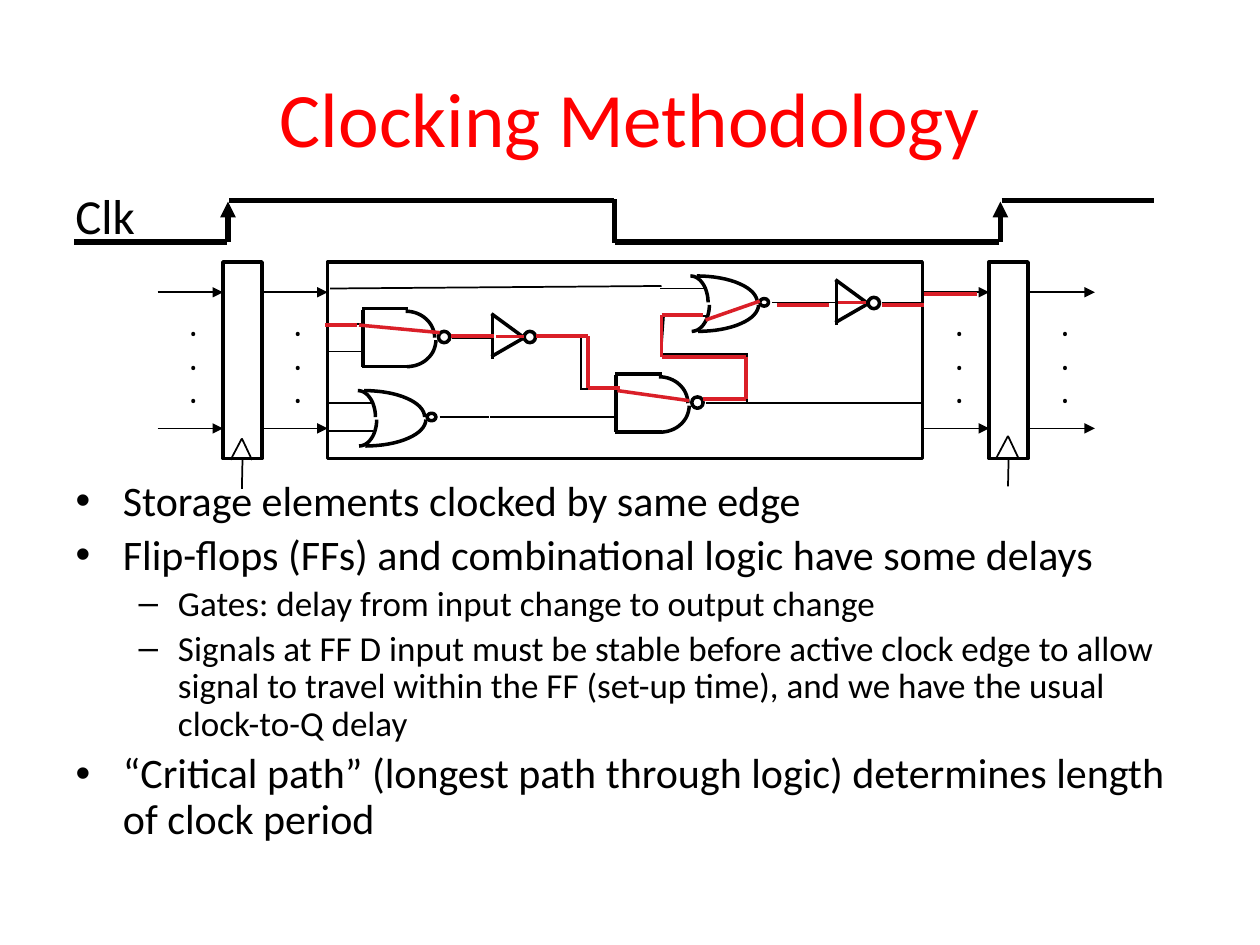
from math import cos, pi, sin

from pptx import Presentation
from pptx.dml.color import RGBColor
from pptx.enum.shapes import MSO_CONNECTOR, MSO_SHAPE
from pptx.enum.text import MSO_ANCHOR, MSO_AUTO_SIZE, PP_ALIGN
from pptx.oxml.ns import qn
from pptx.util import Pt
from lxml.etree import SubElement

SCALE = 9144  # EMU per px, 100 px to the inch
BLACK, TITLE_RED, PATH_RED = "000000", "FF0000", "DA1F28"
THIN, GATE, PATH, CLOCK = 1, 2, 2.25, 3
BOTTOM = 2


def emu(*lengths):
    return [round(length * SCALE) for length in lengths]


def color(value):
    return RGBColor.from_string(value)


class Diagram:
    def __init__(self, slide, font="Calibri"):
        self.slide = slide
        self.shapes = slide.shapes
        self.font = font

    def style_font(self, font, size, value=BLACK, name=None, bold=None):
        font.name = name or self.font
        font.size = Pt(size)
        font.color.rgb = color(value)
        font.bold = bold

    def place(self, shape, *box):
        shape.left, shape.top, shape.width, shape.height = emu(*box)

    def title(self, text, box):
        shape = self.shapes.title
        self.place(shape, *box)
        shape.text_frame.text = text
        shape.text_frame.vertical_anchor = MSO_ANCHOR.MIDDLE
        paragraph = shape.text_frame.paragraphs[0]
        paragraph.alignment = PP_ALIGN.CENTER
        self.style_font(paragraph.font, 44, TITLE_RED)

    def body(self, items, box):
        shape = self.slide.placeholders[1]
        self.place(shape, *box)
        frame = shape.text_frame
        frame.text = "\n".join(text for _, text in items)
        frame.auto_size = MSO_AUTO_SIZE.NONE
        for paragraph, (level, _) in zip(frame.paragraphs, items):
            paragraph.level = level
            paragraph.line_spacing = 0.9
            self.style_font(paragraph.font, 20 if level else 24)

    def text(self, text, box, size, name=None, bold=None):
        frame = self.shapes.add_textbox(*emu(*box)).text_frame
        frame.word_wrap = False
        frame.text = text
        for paragraph in frame.paragraphs:
            self.style_font(paragraph.font, size, name=name, bold=bold)

    def outline(self, shape, width=GATE):
        shape.shadow.inherit = False
        shape.fill.background()
        shape.line.color.rgb = color(BLACK)
        shape.line.width = Pt(width)
        return shape

    def box(self, *box):
        return self.outline(self.shapes.add_shape(MSO_SHAPE.RECTANGLE, *emu(*box)))

    def bubble(self, *box):
        return self.outline(self.shapes.add_shape(MSO_SHAPE.OVAL, *emu(*box)))

    def line(self, x1, y1, x2, y2, width=THIN, value=BLACK, arrow=False):
        connector = self.shapes.add_connector(
            MSO_CONNECTOR.STRAIGHT, *emu(x1, y1, x2, y2))
        connector.line.color.rgb = color(value)
        connector.line.width = Pt(width)
        if arrow:
            SubElement(connector.line._get_or_add_ln(), qn("a:tailEnd"), type="triangle")
        SubElement(connector._element.spPr, qn("a:effectLst"))
        return connector

    def arcs(self, x, y, width, height):
        """Upper and lower quarter ellipse of a rounded gate side."""
        steps = [step * pi / 32 for step in range(17)]
        upper = [(x + width * sin(a), y + height * (1 - cos(a))) for a in steps]
        lower = [(x + 1 + width * cos(a), y + height + 2 + height * sin(a)) for a in steps]
        for points in (upper, lower):
            start, *rest = [emu(*point) for point in points]
            builder = self.shapes.build_freeform(*start, scale=1.0)
            builder.add_line_segments(rest, close=False)
            self.outline(builder.convert_to_shape())

    def and_gate(self, x, y):
        self.arcs(x + 35, y + 2, 23, 21)
        self.bubble(x + 61, y + 18, 9, 9)
        self.line(x + 37, y, x, y, GATE)
        self.line(x + 1, y + 1, x + 1, y + 46, GATE)
        self.line(x + 37, y + 46, x, y + 46, GATE)
        for input_y in (y + 12, y + 34):
            self.line(x + 2, input_y, x - 28, input_y)
        self.line(x + 72, y + 23, x + 105, y + 23)

    def nor_gate(self, x, y):
        self.arcs(x + 5, y, 48, 21)
        self.arcs(x, y, 14, 21)
        self.bubble(x + 55, y + 18, 7, 6)
        for input_y in (y + 10, y + 32):
            self.line(x + 12, input_y, x - 24, input_y)
        self.line(x + 65, y + 21, x + 104, y + 21)

    def inverter(self, x, y):
        self.bubble(x + 26, y + 14, 9, 9)
        self.line(x + 26, y + 19, x, y, GATE)
        self.line(x + 26, y + 19, x, y + 34, GATE)
        self.line(x + 1, y + 36, x + 1, y, GATE)
        self.line(x + 2, y + 18, x - 29, y + 18)
        self.line(x + 37, y + 18, x + 70, y + 18)

    def register(self, x, clock_y):
        register = self.box(x, 208, 31, 156)
        clock = self.line(x + 15, clock_y, x + 15, clock_y + 24)
        clock.begin_connect(register, BOTTOM)
        self.line(x + 6, clock_y + 1, x + 15, clock_y - 16)
        self.line(x + 15, clock_y - 16, x + 23, clock_y + 1)

    def bus(self, x):
        for y in (232, 340):
            self.line(x, y, x + 52, y, arrow=True)
        self.text(".\n.\n.", (x + 16, 240, 25, 90), 16, "Cambria", True)


presentation = Presentation()
presentation.slide_width, presentation.slide_height = emu(1000, 750)
slide = presentation.slides.add_slide(presentation.slide_layouts[1])
diagram = Diagram(slide)

# Title and bullets
diagram.title("Clocking Methodology", (50, 30, 900, 125))
diagram.body([
    (0, "Storage elements clocked by same edge"),
    (0, "Flip-flops (FFs) and combinational logic have some delays"),
    (1, "Gates: delay from input change to output change"),
    (1, "Signals at FF D input must be stable before active clock edge to allow "
        "signal to travel within the FF (set-up time), and we have the usual "
        "clock-to-Q delay"),
    (0, "“Critical path” (longest path through logic) determines length of clock period"),
], (50, 376, 900, 237))

# Clock waveform
LOW, HIGH = 192, 159
diagram.text("Clk", (50, 142, 69, 57), 28)
for x1, x2, y in ((59, 180, LOW), (182, 487, HIGH), (488, 793, LOW), (795, 916, HIGH)):
    diagram.line(x1, y, x2, y, CLOCK)
for x in (181, 794):
    diagram.line(x, LOW, x, HIGH + 1, CLOCK, arrow=True)
diagram.line(488, HIGH - 1, 488, LOW + 1, CLOCK)

# Registers, buses and the logic block
diagram.register(177, 364)
diagram.register(785, 362)
for x in (125, 208, 733, 817):
    diagram.bus(x)
diagram.box(260, 208, 472, 156)

# Gates
diagram.and_gate(287, 245)
diagram.nor_gate(284, 310)
diagram.inverter(663, 222)
diagram.inverter(390, 249)
diagram.nor_gate(548, 219)
diagram.and_gate(488, 297)

# Wires between the gates
for wire in ((461, 268, 461, 308), (389, 331, 465, 331), (527, 251, 525, 278),
             (526, 281, 594, 281), (593, 282, 593, 319), (262, 229, 525, 227),
             (592, 320, 732, 320)):
    diagram.line(*wire)

# Critical path: through the gates, then along the wires
for segment in ((285, 258, 349, 264), (394, 267, 416, 267), (490, 310, 547, 318),
                (560, 254, 603, 239), (665, 240, 687, 240)):
    diagram.line(*segment, GATE, PATH_RED)
for x1, x2, y in ((258, 283, 258), (358, 392, 267), (425, 467, 267), (467, 492, 308),
                  (558, 592, 317), (525, 592, 283), (525, 558, 250), (617, 658, 242),
                  (700, 733, 242), (733, 775, 233)):
    diagram.line(x1, y, x2, y, PATH, PATH_RED)
for x, y1, y2 in ((525, 250, 283), (592, 283, 317), (467, 267, 308)):
    diagram.line(x, y1, x, y2, PATH, PATH_RED)

presentation.save("out.pptx")
